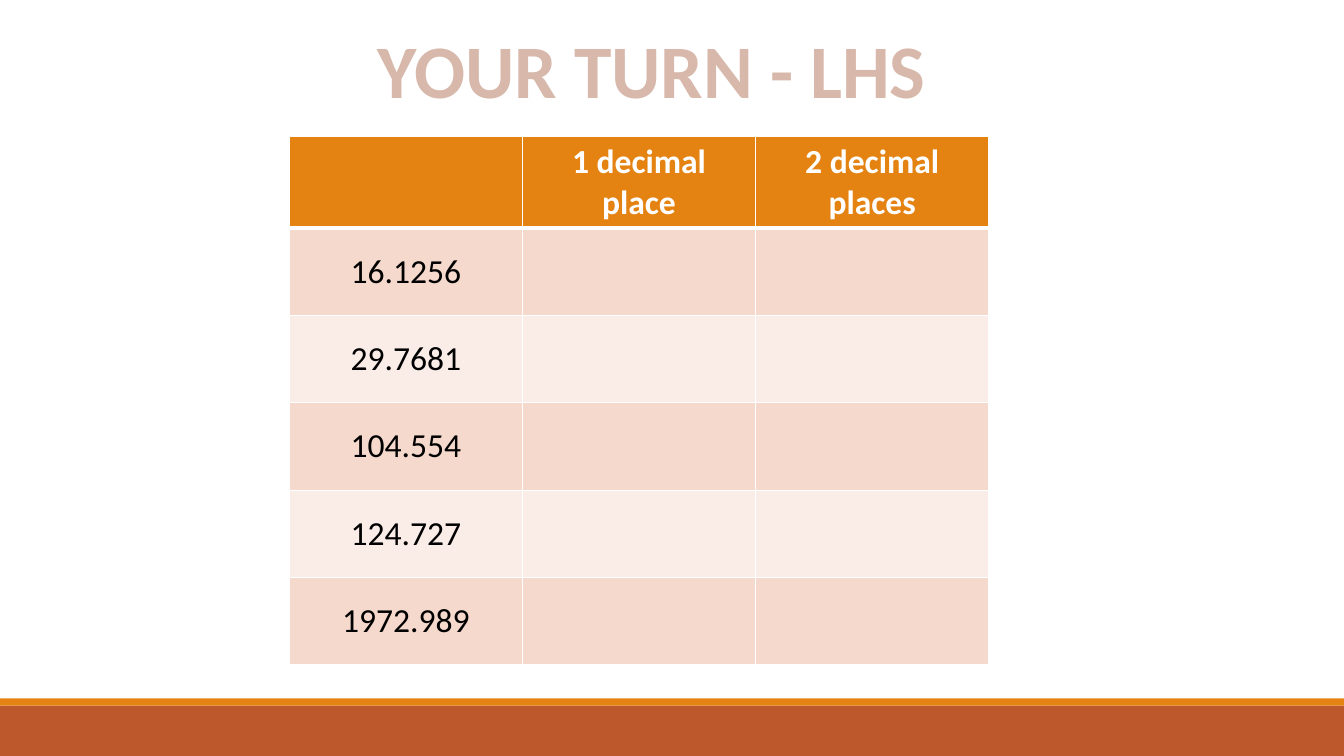
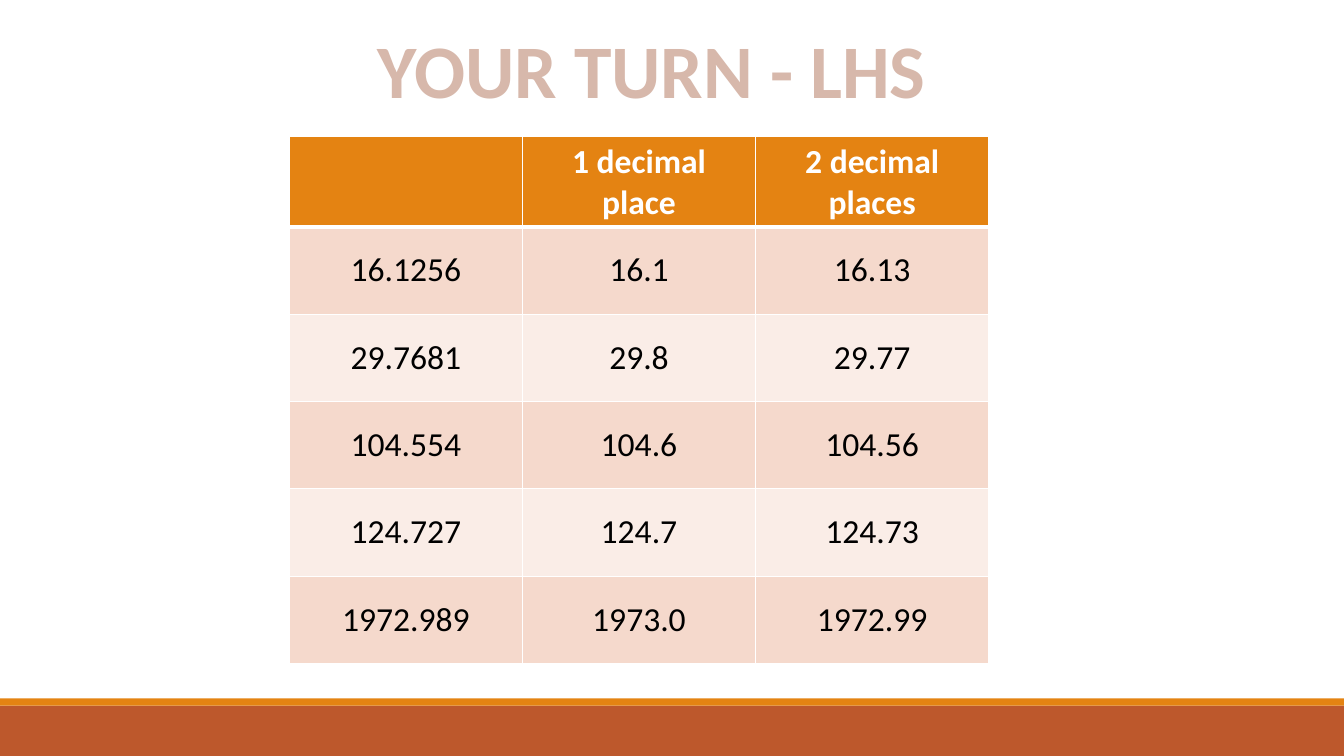
from lxml import etree
from pptx import Presentation
from pptx.dml.color import RGBColor
from pptx.enum.shapes import MSO_SHAPE
from pptx.enum.text import MSO_ANCHOR, MSO_AUTO_SIZE, PP_ALIGN
from pptx.oxml.ns import qn
from pptx.util import Cm, Pt

RECTANGLE = MSO_SHAPE.RECTANGLE
MIDDLE = MSO_ANCHOR.MIDDLE
CENTER = PP_ALIGN.CENTER
FIT_SHAPE = MSO_AUTO_SIZE.SHAPE_TO_FIT_TEXT

FONT = "Calibri"
COLORS = {
    "title": "D7B8AB",
    "header": "E48312",
    "band": "BD582C",
    "row_dark": "F5D9CC",
    "row_light": "FAEDE7",
    "white": "FFFFFF",
    "black": "000000",
}

PAGE_WIDTH, PAGE_HEIGHT = Cm(33.87), Cm(19.05)
TITLE_BOX = Cm(9.19), Cm(0.46), Cm(14.48), Cm(2.57)
TABLE_BOX = Cm(7.29), Cm(3.43), Cm(17.63), Cm(13.2)
BAND_BOX = Cm(0), Cm(17.6), PAGE_WIDTH, Cm(1.45)
STRIP_HEIGHT = Cm(0.18)

TITLE = "YOUR TURN - LHS"
HEADERS = ["", "1 decimal place", "2 decimal places"]
ANSWERS = [
    ["16.1256", "16.1", "16.13"],
    ["29.7681", "29.8", "29.77"],
    ["104.554", "104.6", "104.56"],
    ["124.727", "124.7", "124.73"],
    ["1972.989", "1973.0", "1972.99"],
]
QUESTIONS = [[number, "", ""] for number, *_ in ANSWERS]


def color(name):
    """Return the named colour of the palette."""
    return RGBColor.from_string(COLORS[name])


def style_paragraph(para, size, color_name, bold):
    """Centre a paragraph and set its font."""
    para.alignment = CENTER
    para.font.name = FONT
    para.font.size = Pt(size)
    para.font.bold = bold
    para.font.color.rgb = color(color_name)


def add_rectangle(page, box, color_name):
    """Draw a plain filled rectangle."""
    shape = page.shapes.add_shape(RECTANGLE, *box)
    shape.shadow.inherit = False
    shape.fill.solid()
    shape.fill.fore_color.rgb = color(color_name)
    shape.line.fill.background()


def add_footer(page, box):
    """Draw the bottom band with the thin strip on top of it."""
    left, top, width, height = box
    band_top = top + STRIP_HEIGHT
    add_rectangle(page, (left, band_top, width, height - STRIP_HEIGHT), "band")
    add_rectangle(page, (left, top, width, STRIP_HEIGHT), "header")


def add_title(page, box, text):
    """Write the centred slide title."""
    frame = page.shapes.add_textbox(*box).text_frame
    frame.word_wrap = False
    frame.auto_size = FIT_SHAPE
    frame.text = text
    style_paragraph(frame.paragraphs[0], 54, "title", True)


def add_borders(cell, widths):
    """Give a cell white borders, with widths in points by side."""
    properties = cell._tc.get_or_add_tcPr()
    for side, width in widths.items():
        line = etree.SubElement(properties, qn(f"a:ln{side}"), w=str(Pt(width)))
        fill = etree.SubElement(line, qn("a:solidFill"))
        etree.SubElement(fill, qn("a:srgbClr"), val=COLORS["white"])


def fill_cell(cell, text, row):
    """Write one table cell in the style of its row."""
    is_header = row == 0
    add_borders(cell, {
        "L": 1,
        "R": 1,
        "T": 3 if row == 1 else 1,
        "B": 3 if is_header else 1,
    })
    cell.fill.solid()
    body = "row_dark" if row % 2 else "row_light"
    cell.fill.fore_color.rgb = color("header" if is_header else body)
    cell.vertical_anchor = MIDDLE
    cell.text = text
    text_color = "white" if is_header else "black"
    style_paragraph(cell.text_frame.paragraphs[0], 24, text_color, is_header)


def add_rounding_table(page, box, rows):
    """Draw the table of numbers and their roundings."""
    lines = [HEADERS, *rows]
    table = page.shapes.add_table(len(lines), len(HEADERS), *box).table
    table.horz_banding = False
    for row, texts in enumerate(lines):
        for column, text in enumerate(texts):
            fill_cell(table.cell(row, column), text, row)


def add_exercise(deck, rows):
    """Add one exercise slide."""
    page = deck.slides.add_slide(deck.slide_layouts[6])
    add_footer(page, BAND_BOX)
    add_rounding_table(page, TABLE_BOX, rows)
    add_title(page, TITLE_BOX, TITLE)


def main():
    """Build the deck and save it."""
    deck = Presentation()
    deck.slide_width, deck.slide_height = PAGE_WIDTH, PAGE_HEIGHT
    for rows in (QUESTIONS, ANSWERS):
        add_exercise(deck, rows)
    deck.save("out.pptx")


if __name__ == "__main__":
    main()
